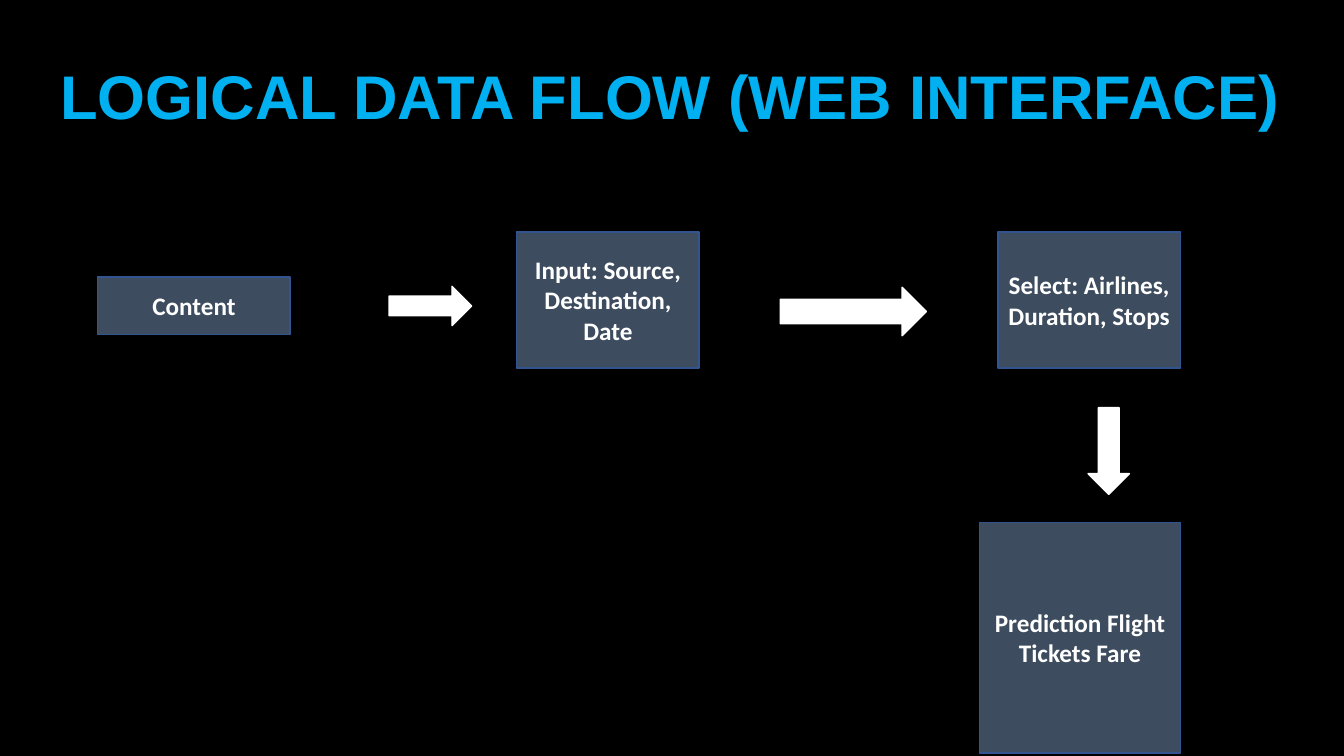
from pptx import Presentation
from pptx.dml.color import RGBColor
from pptx.enum.shapes import MSO_SHAPE as Shape
from pptx.enum.text import MSO_ANCHOR as Anchor, PP_ALIGN as Align
from pptx.util import Pt


def color(code):
    return RGBColor.from_string(code)


def write(shape, text, align, name, size, code):
    frame = shape.text_frame
    frame.word_wrap = True
    frame.vertical_anchor = Anchor.MIDDLE
    para = frame.paragraphs[0]
    para.alignment = align
    run = para.add_run()
    run.text = text
    style = {"name": name, "size": Pt(size), "bold": True}
    for key, value in style.items():
        setattr(run.font, key, value)
    run.font.color.rgb = color(code)


# Slide
deck = Presentation()
deck.slide_width, deck.slide_height = Pt(960), Pt(540)
slide = deck.slides.add_slide(deck.slide_layouts[6])
slide.background.fill.solid()
slide.background.fill.fore_color.rgb = color("000000")

# Title
title = slide.shapes.add_textbox(Pt(36), Pt(-1.4), Pt(972.7), Pt(138.2))
write(title, "LOGICAL DATA FLOW (WEB INTERFACE)", Align.JUSTIFY, "Arial", 44, "00B0F0")

# Steps and arrows: left, top, width, height, then text or turn
steps = [
    (69.8, 198, 137.5, 41, "Content"),
    (369.1, 165.6, 130.3, 97.2, "Input: Source, Destination, Date"),
    (712.8, 165.6, 130.3, 97.2, "Select: Airlines, Duration, Stops"),
    (699.8, 373, 143.3, 164.9, "Prediction Flight Tickets Fare"),
]
arrows = [
    (277.9, 204.5, 59, 28.1, 0),
    (557.3, 205.2, 104.4, 34.6, 0),
    (761, 307.4, 61.9, 29.5, 90),
]
kinds = [
    (Shape.RECTANGLE, steps, "3D4C5F", "325491"),
    (Shape.RIGHT_ARROW, arrows, "FFFFFF", "FFFFFF"),
]
for kind, items, fill, line in kinds:
    for *box, extra in items:
        shape = slide.shapes.add_shape(kind, *map(Pt, box))
        shape.shadow.inherit = False
        shape.fill.solid()
        shape.fill.fore_color.rgb = color(fill)
        shape.line.color.rgb = color(line)
        shape.line.width = Pt(1)
        if kind == Shape.RECTANGLE:
            write(shape, extra, Align.CENTER, "Calibri", 18, "FFFFFF")
        else:
            shape.rotation = extra

deck.save("out.pptx")
